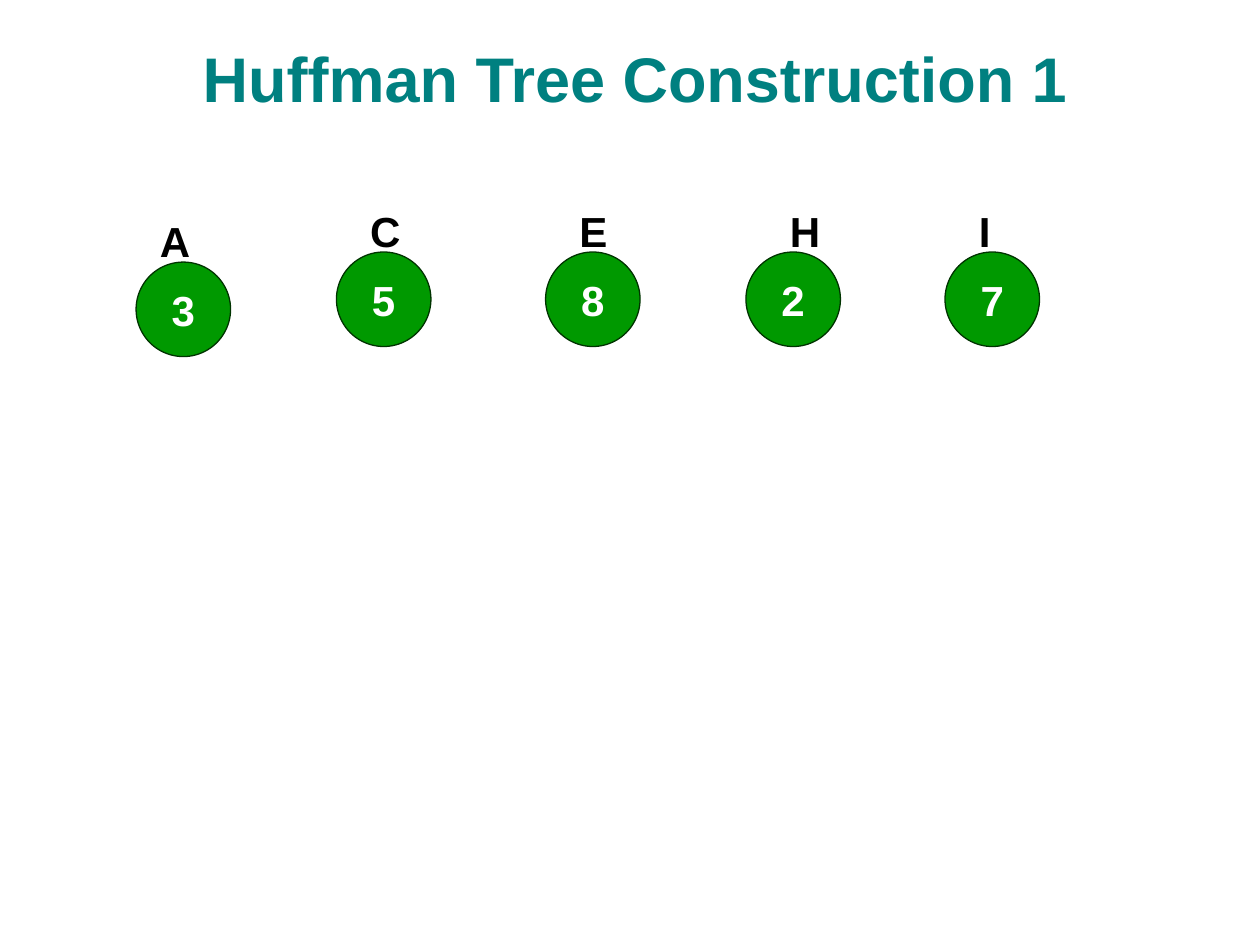
import pptx
import pptx.util
import pptx.dml.color
import pptx.enum.shapes
import pptx.enum.text

Inches = pptx.util.Inches
Align = pptx.enum.text.PP_ALIGN
Anchor = pptx.enum.text.MSO_ANCHOR
AutoSize = pptx.enum.text.MSO_AUTO_SIZE

COLOURS = {
    "title": "008080",
    "node": "009900",
    "outline": "003300",
    "weight": "FFFFFF",
    "letter": "000000",
}
NODE_SIZE = 0.75
LETTER_RISE = 0.42
LETTER_HEIGHT = 0.5
LEAVES = [
    ("A", "3", 1.08, 2.08, 1.17, 0.44),
    ("C", "5", 2.67, 2, 2.84, 0.44),
    ("E", "8", 4.33, 2, 4.5, 0.42),
    ("H", "2", 5.92, 2, 6.17, 0.44),
    ("I", "7", 7.5, 2, 7.67, 0.29),
]


def colour(name):
    return pptx.dml.color.RGBColor.from_string(COLOURS[name])


def write(shape, text, size, colour_name, align, **frame_format):
    frame = shape.text_frame
    for name, value in frame_format.items():
        setattr(frame, name, value)
    para = frame.paragraphs[0]
    para.alignment = align
    span = para.add_run()
    span.text = text
    font_format = {"name": "Arial", "size": pptx.util.Pt(size), "bold": True}
    for name, value in font_format.items():
        setattr(span.font, name, value)
    span.font.color.rgb = colour(colour_name)


def place_title(page, box):
    title = page.shapes.title
    for name, value in zip(("left", "top", "width", "height"), box):
        setattr(title, name, Inches(value))
    write(title, "Huffman Tree Construction 1", 36, "title", Align.CENTER,
          vertical_anchor=Anchor.BOTTOM, word_wrap=True,
          auto_size=AutoSize.NONE)


def place_node(page, weight, box):
    node = page.shapes.add_shape(
        pptx.enum.shapes.MSO_SHAPE.OVAL, *map(Inches, box))
    node.shadow.inherit = False
    node.fill.solid()
    node.fill.fore_color.rgb = colour("node")
    node.line.color.rgb = colour("outline")
    node.line.width = pptx.util.Pt(0.75)
    write(node, weight, 24, "weight", Align.CENTER,
          vertical_anchor=Anchor.MIDDLE, word_wrap=False)


def place_letter(page, letter, box):
    label = page.shapes.add_textbox(*map(Inches, box))
    write(label, letter, 24, "letter", Align.LEFT,
          vertical_anchor=Anchor.TOP, word_wrap=False,
          auto_size=AutoSize.SHAPE_TO_FIT_TEXT)


def main():
    deck = pptx.Presentation()
    deck.slide_width, deck.slide_height = Inches(10), Inches(7.5)
    page = deck.slides.add_slide(deck.slide_layouts[5])
    place_title(page, (0.33, 0.17, 9.42, 0.79))
    for letter, weight, left, top, letter_left, letter_width in LEAVES:
        place_node(page, weight, (left, top, NODE_SIZE, NODE_SIZE))
        place_letter(page, letter, (letter_left, top - LETTER_RISE,
                                    letter_width, LETTER_HEIGHT))
    deck.save("out.pptx")


if __name__ == "__main__":
    main()
